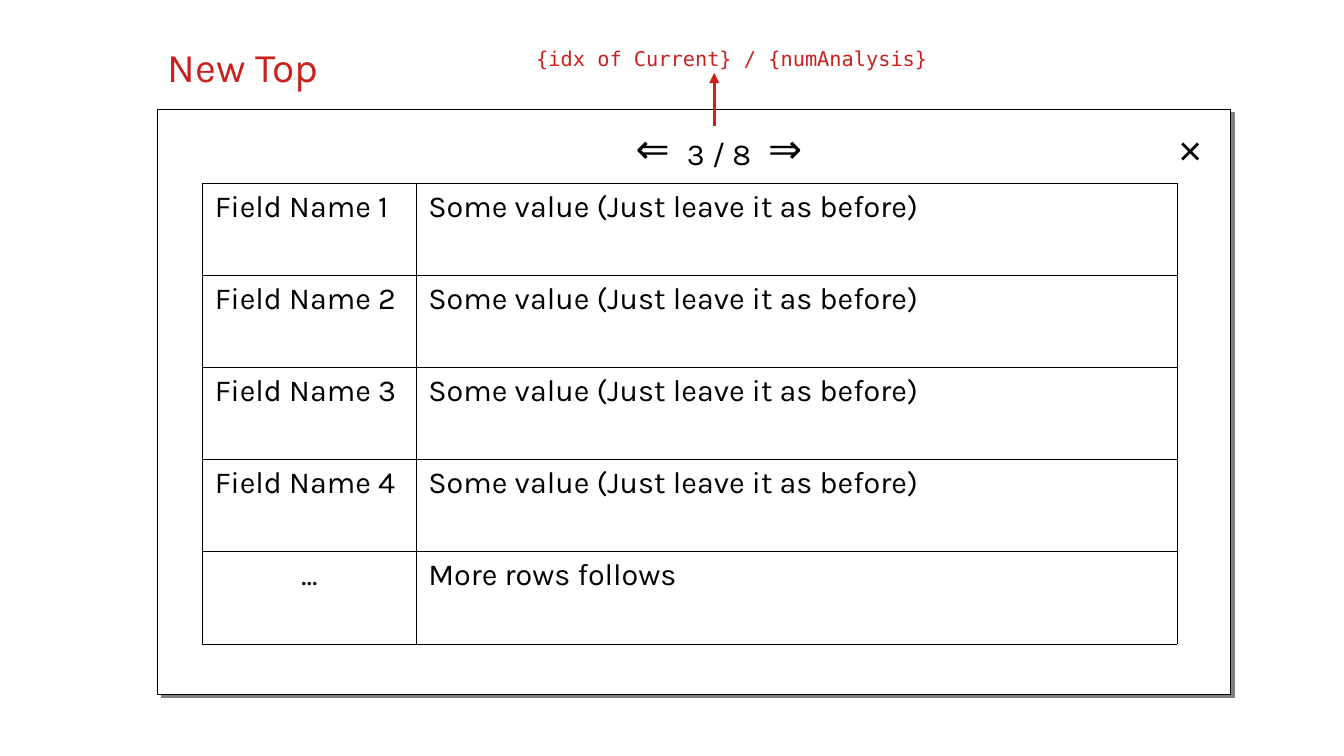
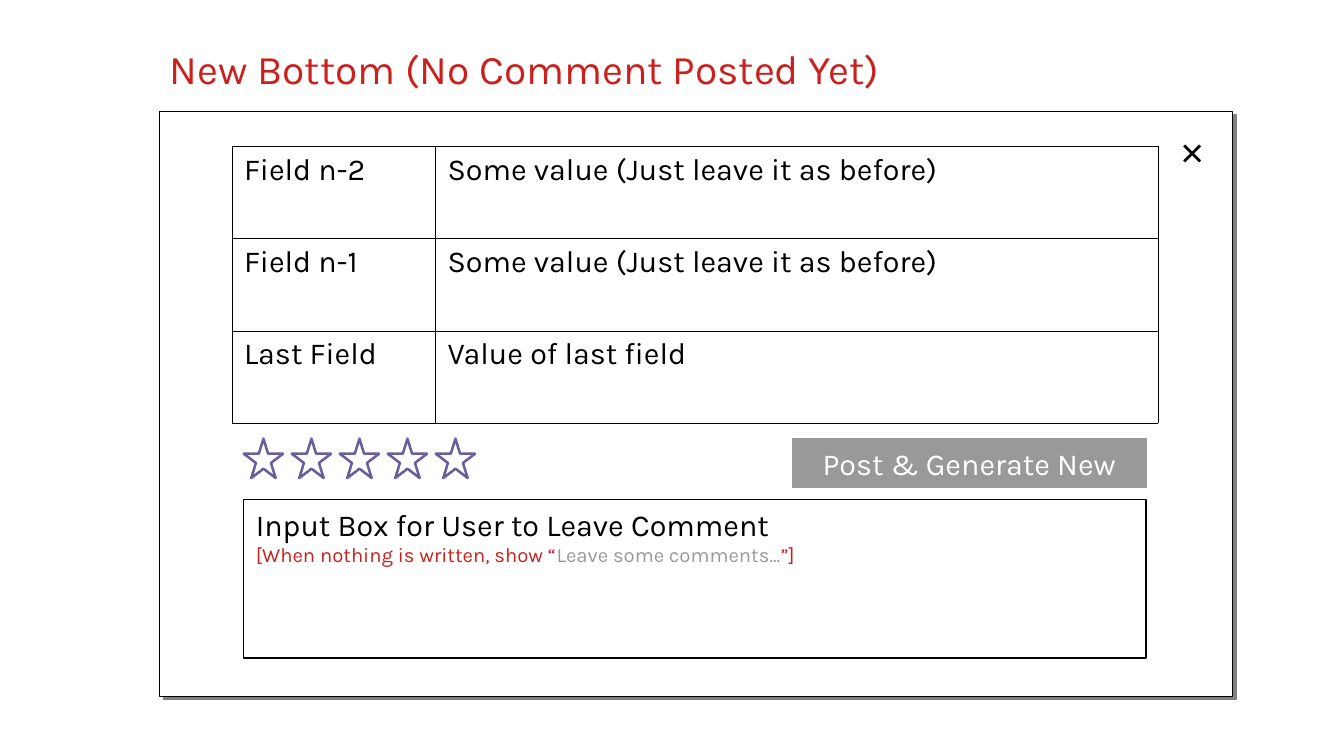
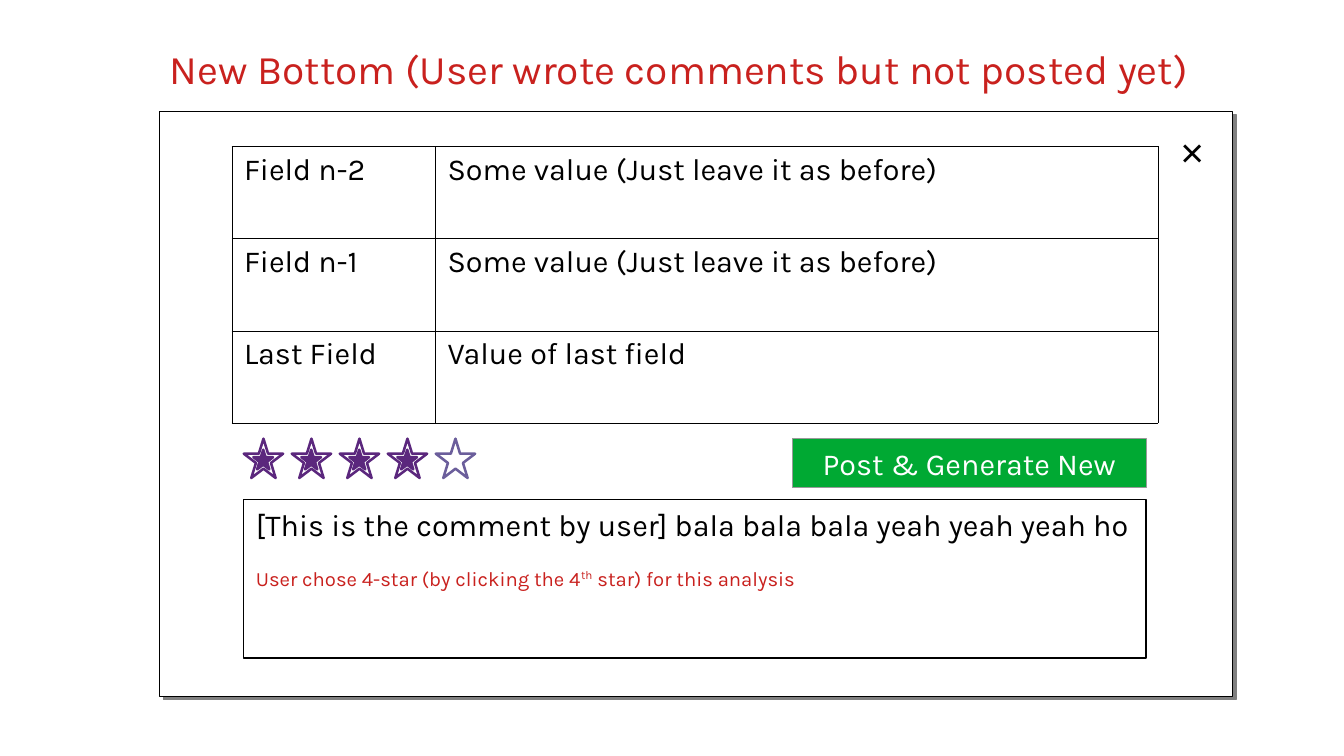
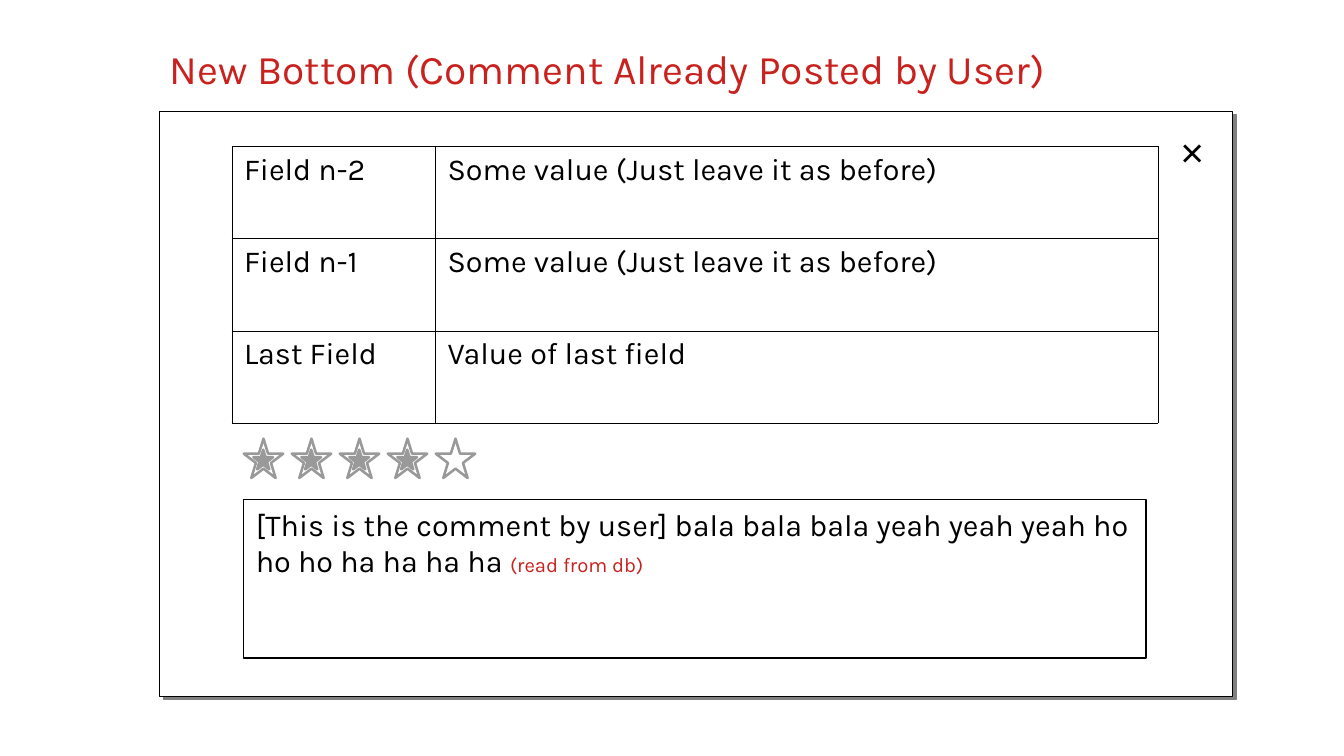
from lxml.etree import SubElement
from pptx import Presentation
from pptx.dml.color import RGBColor
from pptx.enum.shapes import MSO_CONNECTOR, MSO_SHAPE
from pptx.enum.text import MSO_ANCHOR, MSO_AUTO_SIZE, PP_ALIGN
from pptx.oxml.ns import qn
from pptx.util import Cm, Pt

BLACK = RGBColor(0x00, 0x00, 0x00)
WHITE = RGBColor(0xFF, 0xFF, 0xFF)
RED = RGBColor(0xC9, 0x21, 0x1E)
GRAY = RGBColor(0x99, 0x99, 0x99)
SHADOW = RGBColor(0x80, 0x80, 0x80)
GREEN = RGBColor(0x00, 0xA9, 0x33)
VIOLET = RGBColor(0x6B, 0x5E, 0x9B)
PURPLE = RGBColor(0x5B, 0x27, 0x7D)
FONT, MONO, SYMBOL = "Karla", "DejaVu Sans Mono", "Arial"

SAME_VALUE = "Some value (Just leave it as before)"
TOP_ROWS = [(f"Field Name {number}", SAME_VALUE) for number in range(1, 5)]
TOP_ROWS.append(("...", "More rows follows"))
BOTTOM_ROWS = [("Field n-2", SAME_VALUE), ("Field n-1", SAME_VALUE),
               ("Last Field", "Value of last field")]
USER_COMMENT = ("[This is the comment by user] bala bala bala yeah yeah yeah ho", 18, BLACK)

BOTTOM_SLIDES = [
    {"title": "New Bottom (No Comment Posted Yet)",
     "rating": 0, "filled_star": PURPLE, "empty_star": VIOLET, "button": GRAY,
     "gap": 0,
     "comment": [[("Input Box for User to Leave Comment", 18, BLACK)],
                 [("[When nothing is written, show “", 12, RED),
                  ("Leave some comments...", 12, GRAY), ("”]", 12, RED)]]},
    {"title": "New Bottom (User wrote comments but not posted yet)",
     "rating": 4, "filled_star": PURPLE, "empty_star": VIOLET, "button": GREEN,
     "gap": 14,
     "comment": [[USER_COMMENT],
                 [("User chose 4-star (by clicking the 4", 12, RED),
                  ("th", 12, RED, "superscript"),
                  (" star) for this analysis", 12, RED)]]},
    {"title": "New Bottom (Comment Already Posted by User)",
     "rating": 4, "filled_star": GRAY, "empty_star": GRAY, "button": None,
     "gap": 0,
     "comment": [[USER_COMMENT],
                 [("ho ho ha ha ha ha ", 18, BLACK), ("(read from db)", 12, RED)]]},
]

ROW_HEIGHT = 1.92
STAR_COUNT, STAR_LEFT, STAR_TOP, STAR_SIZE, STAR_PITCH = 5, 5.08, 9.14, 0.82, 1.0


def box(left, top, width, height):
    return Cm(left), Cm(top), Cm(width), Cm(height)


def add_run(paragraph, text, size, color, style=None, font=FONT):
    run = paragraph.add_run()
    run.text = text
    run.font.name = font
    run.font.size = Pt(size)
    run.font.color.rgb = color
    if style == "superscript":
        run._r.get_or_add_rPr().set("baseline", "33000")


def add_label(slide, area, text, size, color, font=FONT, anchor=MSO_ANCHOR.TOP):
    frame = slide.shapes.add_textbox(*box(*area)).text_frame
    frame.word_wrap = True
    frame.vertical_anchor = anchor
    frame.paragraphs[0].alignment = PP_ALIGN.CENTER
    add_run(frame.paragraphs[0], text, size, color, font=font)


def add_figure(slide, kind, area, fill, line, line_width):
    shape = slide.shapes.add_shape(kind, *box(*area))
    shape.shadow.inherit = False
    if fill is None:
        shape.fill.background()
    else:
        shape.fill.solid()
        shape.fill.fore_color.rgb = fill
    shape.line.color.rgb = line
    shape.line.width = Pt(line_width)
    return shape


def add_dialog(presentation, title, left, top):
    slide = presentation.slides.add_slide(presentation.slide_layouts[5])
    heading = slide.shapes.title
    heading.left, heading.top, heading.width, heading.height = box(left - 0.05, top - 1.53, 23, 1.4)
    frame = heading.text_frame
    frame.auto_size = MSO_AUTO_SIZE.NONE
    frame.vertical_anchor = MSO_ANCHOR.TOP
    frame.paragraphs[0].alignment = PP_ALIGN.LEFT
    add_run(frame.paragraphs[0], title, 24, RED)

    panel = add_figure(slide, MSO_SHAPE.RECTANGLE, (left, top, 22.35, 12.19), WHITE, BLACK, 0)
    effects = panel._element.spPr.find(qn("a:effectLst"))
    shadow = SubElement(effects, qn("a:outerShdw"), blurRad="0", dist=str(Pt(2.8)),
                        dir="2700000", algn="tl", rotWithShape="0")
    SubElement(shadow, qn("a:srgbClr"), val=str(SHADOW))
    add_label(slide, (left + 20.67, top, 1.68, 1.68), "×", 24, BLACK, SYMBOL, MSO_ANCHOR.MIDDLE)
    return slide


def add_borders(cell):
    properties = cell._tc.get_or_add_tcPr()
    for index, side in enumerate(("a:lnL", "a:lnR", "a:lnT", "a:lnB")):
        border = SubElement(properties, qn(side), w=str(Pt(0.06)))
        fill = SubElement(border, qn("a:solidFill"))
        SubElement(fill, qn("a:srgbClr"), val=str(BLACK))
        properties.insert(index, border)


def add_field_table(slide, rows, left, top, widths):
    area = box(left, top, sum(widths), ROW_HEIGHT * len(rows))
    table = slide.shapes.add_table(len(rows), len(widths), *area).table
    table.first_row = table.horz_banding = False
    for column, width in zip(table.columns, widths):
        column.width = Cm(width)
    for row, texts in zip(table.rows, rows):
        row.height = Cm(ROW_HEIGHT)
        for cell, text in zip(row.cells, texts):
            cell.fill.solid()
            cell.fill.fore_color.rgb = WHITE
            add_borders(cell)
            paragraph = cell.text_frame.paragraphs[0]
            if text == "...":
                paragraph.alignment = PP_ALIGN.CENTER
            add_run(paragraph, text, 18, BLACK)


def add_rating(slide, rating, filled_color, empty_color):
    for index in range(STAR_COUNT):
        left = STAR_LEFT + index * STAR_PITCH
        filled = index < rating
        color = filled_color if filled else empty_color
        add_figure(slide, MSO_SHAPE.STAR_5_POINT, (left, STAR_TOP, STAR_SIZE, STAR_SIZE),
                   None, color, 1.5)
        if filled:
            core = (left + 0.2, STAR_TOP + 0.23, STAR_SIZE / 2, STAR_SIZE / 2)
            add_figure(slide, MSO_SHAPE.STAR_5_POINT, core, color, color, 1.5)


def add_comment_box(slide, lines, gap):
    shape = add_figure(slide, MSO_SHAPE.RECTANGLE, (5.08, 10.41, 18.8, 3.3), None, BLACK, 0.79)
    frame = shape.text_frame
    frame.word_wrap = True
    frame.vertical_anchor = MSO_ANCHOR.TOP
    for index, runs in enumerate(lines):
        paragraph = frame.add_paragraph() if index else frame.paragraphs[0]
        paragraph.alignment = PP_ALIGN.LEFT
        paragraph.space_before = Pt(gap if index else 0)
        for run in runs:
            add_run(paragraph, *run)


def add_post_button(slide, color):
    shape = add_figure(slide, MSO_SHAPE.RECTANGLE, (16.51, 9.14, 7.37, 1.02), color, GRAY, 0)
    frame = shape.text_frame
    frame.vertical_anchor = MSO_ANCHOR.MIDDLE
    frame.paragraphs[0].alignment = PP_ALIGN.CENTER
    add_run(frame.paragraphs[0], "Post & Generate New", 18, WHITE)


def add_pager(slide):
    middle, pitch, width = 14.98, 1.38, 2
    pager = [("⇐", 24, 2.44), ("3 / 8", 18, 2.68), ("⇒", 24, 2.44)]
    for step, (text, size, top) in enumerate(pager, -1):
        left = middle + step * pitch - width / 2
        add_label(slide, (left, top, width, 1.2), text, size, BLACK)
    add_label(slide, (10.75, 0.84, 9, 0.74), "{idx of Current} / {numAnalysis}", 12, RED, MONO)
    arrow = slide.shapes.add_connector(MSO_CONNECTOR.STRAIGHT, Cm(14.88), Cm(2.62),
                                       Cm(14.88), Cm(1.52))
    arrow.line.color.rgb = RED
    arrow.line.width = Pt(0)
    SubElement(arrow.line._get_or_add_ln(), qn("a:tailEnd"), type="triangle")
    SubElement(arrow._element.spPr, qn("a:effectLst"))


def main():
    presentation = Presentation()
    presentation.slide_width, presentation.slide_height = Cm(28), Cm(15.75)

    slide = add_dialog(presentation, "New Top", 3.29, 2.28)
    add_field_table(slide, TOP_ROWS, 4.22, 3.81, (4.45, 15.85))
    add_pager(slide)

    for content in BOTTOM_SLIDES:
        slide = add_dialog(presentation, content["title"], 3.33, 2.32)
        add_field_table(slide, BOTTOM_ROWS, 4.83, 3.05, (4.24, 15.06))
        add_rating(slide, content["rating"], content["filled_star"], content["empty_star"])
        add_comment_box(slide, content["comment"], content["gap"])
        if content["button"] is not None:
            add_post_button(slide, content["button"])

    presentation.save("out.pptx")


if __name__ == "__main__":
    main()
